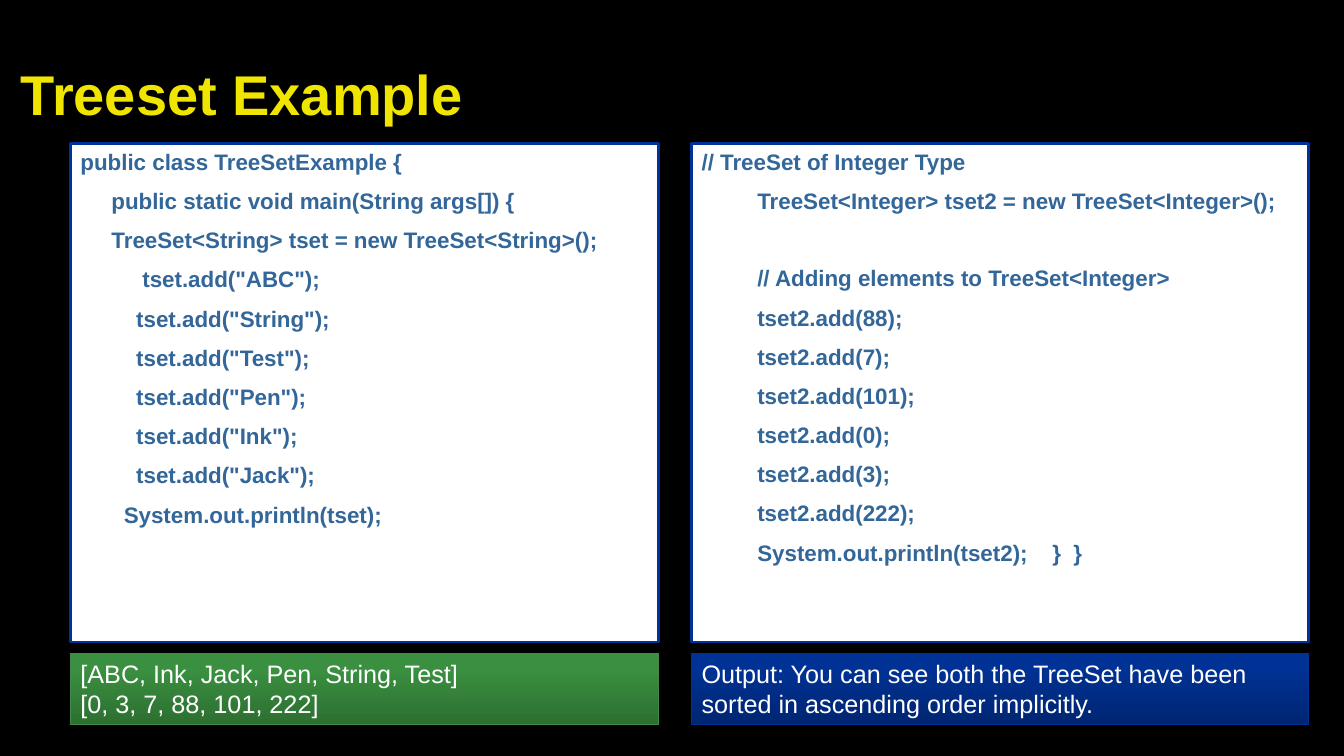
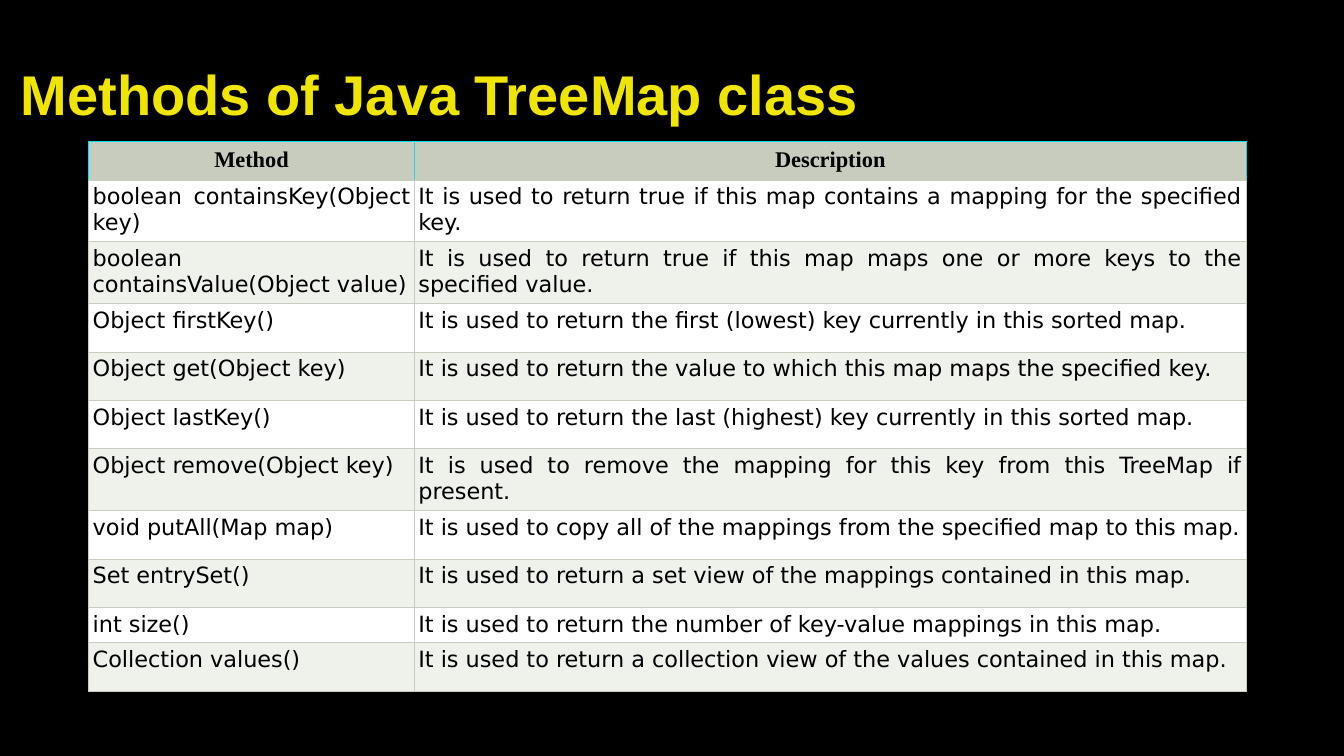
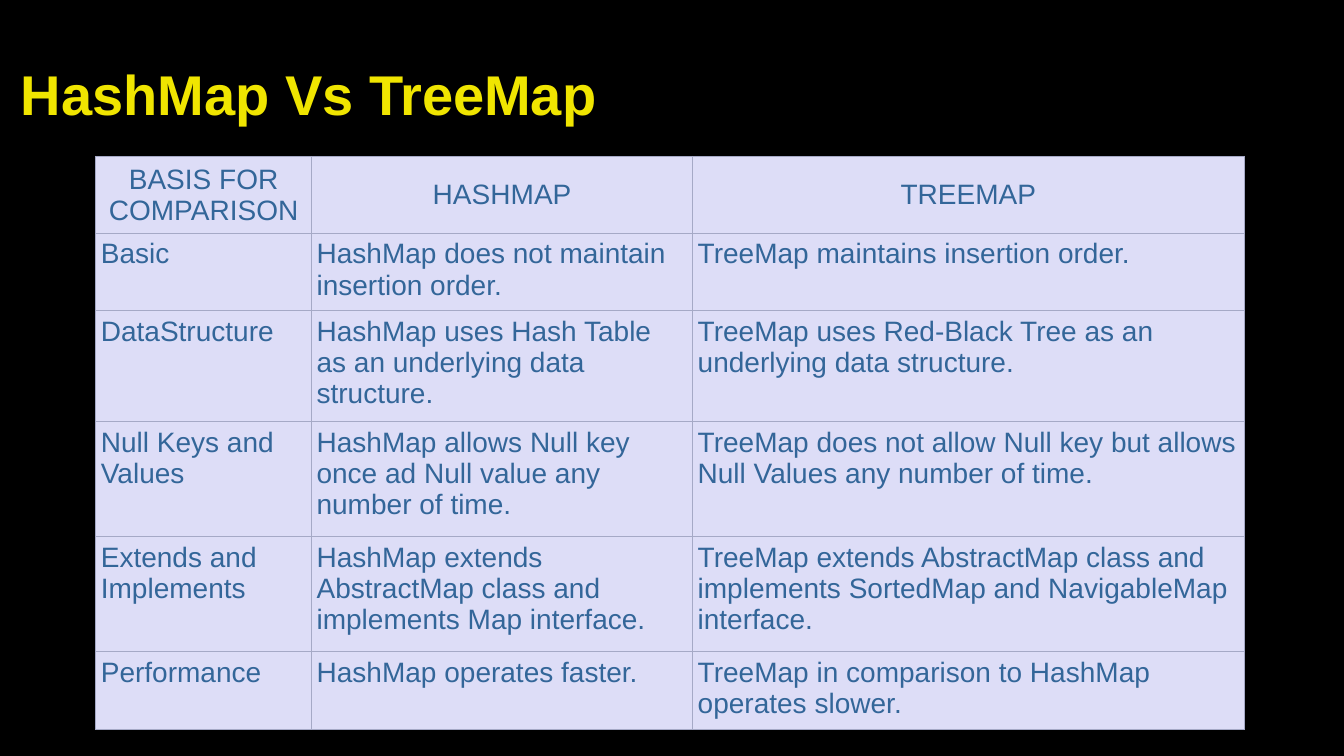
from dataclasses import dataclass

from lxml import etree
from pptx import Presentation
from pptx.dml.color import RGBColor
from pptx.enum.shapes import MSO_SHAPE as Shape
from pptx.enum.text import MSO_ANCHOR as Anchor, PP_ALIGN as Align
from pptx.oxml.ns import qn
from pptx.util import Inches, Pt


@dataclass(frozen=True)
class Theme:
    background: str = "000000"
    title: str = "F0E500"
    text: str = "336699"
    black: str = "000000"
    white: str = "FFFFFF"
    code_line: str = "003399"
    green: tuple = ("2D6F31", "3A9040", "438948")  # dark, light, outline
    blue: tuple = ("002672", "003194", "003296")
    methods_line: str = "C7CCBE"
    methods_accent: str = "00E5F5"
    methods_band: str = "EFF1EB"
    comparison_fill: str = "DDDDF7"
    comparison_line: str = "A5A9C6"
    font: str = "Arial"
    header_font: str = "Times New Roman"
    methods_font: str = "DejaVu Sans"
    title_size: int = 40
    comparison_size: int = 20
    output_size: int = 18
    code_size: int = 16
    methods_size: int = 16


theme = Theme()


def write(paragraph, text, size, color, font=theme.font, bold=False, align=Align.LEFT):
    paragraph.alignment = align
    run = paragraph.add_run()
    run.text = text
    run.font.name = font
    run.font.size = Pt(size)
    run.font.bold = bold
    run.font.color.rgb = RGBColor.from_string(color)


def style_cell(cell, fill, inset, borders):
    """Borders are colours in the order left, right, top, bottom."""
    properties = cell._tc.get_or_add_tcPr()
    for side, color in zip("LRTB", borders):
        line = etree.SubElement(properties, qn(f"a:ln{side}"), w=str(Pt(0.75)))
        solid = etree.SubElement(line, qn("a:solidFill"))
        etree.SubElement(solid, qn("a:srgbClr"), val=color)
    cell.fill.solid()
    cell.fill.fore_color.rgb = RGBColor.from_string(fill)
    cell.margin_left = cell.margin_right = Inches(inset)
    cell.margin_top = cell.margin_bottom = Inches(inset)


presentation = Presentation()
presentation.slide_width = Inches(13.33)
presentation.slide_height = Inches(7.5)
background = presentation.slide_master.background.fill
background.solid()
background.fore_color.rgb = RGBColor.from_string(theme.background)

# Slides and their titles
slides = []
for title in ("Treeset Example", "Methods of Java TreeMap class", "HashMap Vs TreeMap"):
    slide = presentation.slides.add_slide(presentation.slide_layouts[6])
    title_box = slide.shapes.add_textbox(Inches(0.11), Inches(0.3), Inches(12), Inches(1.25))
    title_box.text_frame.word_wrap = True
    title_box.text_frame.vertical_anchor = Anchor.MIDDLE
    write(title_box.text_frame.paragraphs[0], title, theme.title_size, theme.title, bold=True)
    slides.append(slide)
code_slide, methods_slide, comparison_slide = slides

# Slide 1: code above, output below, in two columns
string_code = """public class TreeSetExample {
     public static void main(String args[]) {
     TreeSet<String> tset = new TreeSet<String>();
          tset.add("ABC");
         tset.add("String");
         tset.add("Test");
         tset.add("Pen");
         tset.add("Ink");
         tset.add("Jack");
       System.out.println(tset);"""
integer_code = """// TreeSet of Integer Type
         TreeSet<Integer> tset2 = new TreeSet<Integer>();

         // Adding elements to TreeSet<Integer>
         tset2.add(88);
         tset2.add(7);
         tset2.add(101);
         tset2.add(0);
         tset2.add(3);
         tset2.add(222);
         System.out.println(tset2);    }  }"""
string_output = ["[ABC, Ink, Jack, Pen, String, Test]", "[0, 3, 7, 88, 101, 222]"]
integer_output = ["Output: You can see both the TreeSet have been sorted in ascending order implicitly."]
columns = [
    (0.7, 5.83, string_code, string_output, theme.green),
    (6.86, 6.12, integer_code, integer_output, theme.blue),
]
line_gap, skipped_line = 8.8, 27.2  # points

for left, width, code, output, (dark, light, outline) in columns:
    code_box = code_slide.shapes.add_shape(
        Shape.RECTANGLE, Inches(left), Inches(1.42), Inches(width), Inches(4.95))
    code_box.fill.solid()
    code_box.fill.fore_color.rgb = RGBColor.from_string(theme.white)
    code_box.line.color.rgb = RGBColor.from_string(theme.code_line)
    code_box.line.width = Pt(2)

    output_box = code_slide.shapes.add_shape(
        Shape.RECTANGLE, Inches(left), Inches(6.48), Inches(width), Inches(0.71))
    output_box.fill.gradient()
    output_box.fill.gradient_angle = 90
    for stop, color, position in zip(output_box.fill.gradient_stops, (dark, light), (0, 0.8)):
        stop.color.rgb = RGBColor.from_string(color)
        stop.position = position
    output_box.line.color.rgb = RGBColor.from_string(outline)
    output_box.line.width = Pt(0.75)

    for box in (code_box, output_box):
        box.shadow.inherit = False
        box.text_frame.word_wrap = True
        box.text_frame.vertical_anchor = Anchor.TOP

    # An empty code line becomes extra space before the next one
    gap = 0
    paragraph = code_box.text_frame.paragraphs[0]
    for number, line in enumerate(code.splitlines()):
        if not line:
            gap += skipped_line
            continue
        if number:
            paragraph = code_box.text_frame.add_paragraph()
        paragraph.space_before = Pt(gap)
        write(paragraph, line, theme.code_size, theme.text, bold=True)
        gap = line_gap

    for number, line in enumerate(output):
        frame = output_box.text_frame
        paragraph = frame.add_paragraph() if number else frame.paragraphs[0]
        write(paragraph, line, theme.output_size, theme.white)

# Slide 2: table of methods
methods = [
    ("Method", "Description", 0.37),
    ("boolean containsKey(Object key)",
     "It is used to return true if this map contains a mapping for the specified key.", 0.58),
    ("boolean containsValue(Object value)",
     "It is used to return true if this map maps one or more keys to the specified value.", 0.58),
    ("Object firstKey()",
     "It is used to return the first (lowest) key currently in this sorted map.", 0.48),
    ("Object get(Object key)",
     "It is used to return the value to which this map maps the specified key.", 0.48),
    ("Object lastKey()",
     "It is used to return the last (highest) key currently in this sorted map.", 0.48),
    ("Object remove(Object key)",
     "It is used to remove the mapping for this key from this TreeMap if present.", 0.58),
    ("void putAll(Map map)",
     "It is used to copy all of the mappings from the specified map to this map.", 0.48),
    ("Set entrySet()",
     "It is used to return a set view of the mappings contained in this map.", 0.48),
    ("int size()",
     "It is used to return the number of key-value mappings in this map.", 0.35),
    ("Collection values()",
     "It is used to return a collection view of the values contained in this map.", 0.48),
]
methods_table = methods_slide.shapes.add_table(
    len(methods), 2, Inches(0.88), Inches(1.4), Inches(11.48), Inches(5.34)).table
methods_table.columns[0].width = Inches(3.23)
methods_table.columns[1].width = Inches(8.25)
header_borders = [theme.methods_accent] * 3 + [theme.methods_line]
for row, (*texts, height) in enumerate(methods):
    methods_table.rows[row].height = Inches(height)
    for column, text in enumerate(texts):
        cell = methods_table.cell(row, column)
        paragraph = cell.text_frame.paragraphs[0]
        if row == 0:
            style_cell(cell, theme.methods_line, 0.06, header_borders)
            write(paragraph, text, theme.methods_size, theme.black,
                  theme.header_font, True, Align.CENTER)
        else:
            fill = theme.white if row % 2 else theme.methods_band
            style_cell(cell, fill, 0.04, [theme.methods_line] * 4)
            write(paragraph, text, theme.methods_size, theme.black,
                  theme.methods_font, align=Align.JUSTIFY)

# Slide 3: comparison table
comparison = [
    ("BASIS FOR COMPARISON", "HASHMAP", "TREEMAP", 0.72),
    ("Basic", "HashMap does not maintain insertion order.",
     "TreeMap maintains insertion order.", 0.72),
    ("DataStructure", "HashMap uses Hash Table as an underlying data structure.",
     "TreeMap uses Red-Black Tree as an underlying data structure.", 1.03),
    ("Null Keys and Values", "HashMap allows Null key once ad Null value any number of time.",
     "TreeMap does not allow Null key but allows Null Values any number of time.", 1.14),
    ("Extends and Implements", "HashMap extends AbstractMap class and implements Map interface.",
     "TreeMap extends AbstractMap class and implements SortedMap and NavigableMap interface.", 1.14),
    ("Performance", "HashMap operates faster.",
     "TreeMap in comparison to HashMap operates slower.", 0.72),
]
comparison_table = comparison_slide.shapes.add_table(
    len(comparison), 3, Inches(0.95), Inches(1.55), Inches(11.39), Inches(5.47)).table
for column, width in enumerate((2.14, 3.78, 5.47)):
    comparison_table.columns[column].width = Inches(width)
for row, (*texts, height) in enumerate(comparison):
    comparison_table.rows[row].height = Inches(height)
    for column, text in enumerate(texts):
        cell = comparison_table.cell(row, column)
        style_cell(cell, theme.comparison_fill, 0.05, [theme.comparison_line] * 4)
        cell.vertical_anchor = Anchor.TOP if row else Anchor.MIDDLE
        write(cell.text_frame.paragraphs[0], text, theme.comparison_size, theme.text,
              align=Align.LEFT if row else Align.CENTER)

presentation.save("out.pptx")
